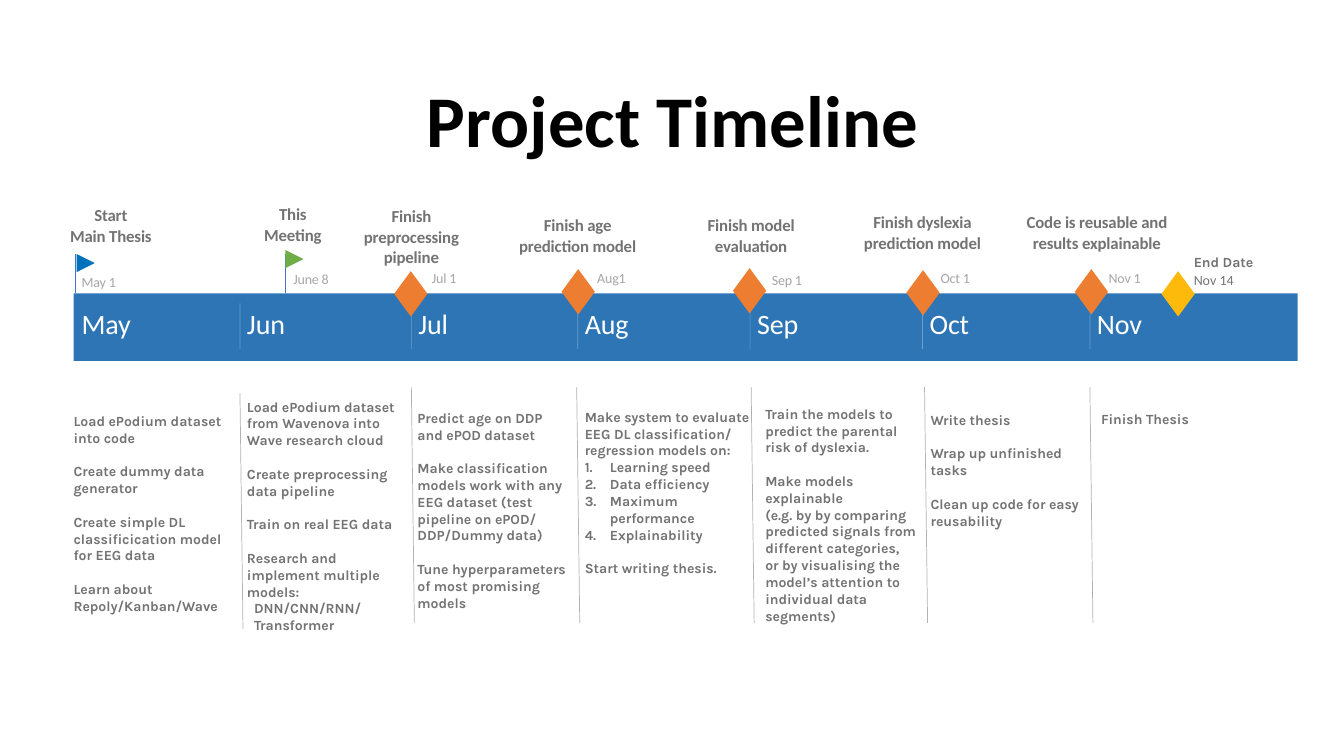
from lxml.etree import SubElement
from pptx import Presentation
from pptx.dml.color import RGBColor
from pptx.enum.shapes import MSO_CONNECTOR as Connector, MSO_SHAPE as Shape
from pptx.enum.text import MSO_ANCHOR as Anchor, PP_ALIGN as Align
from pptx.oxml.ns import qn
from pptx.util import Pt

PX = 9144  # one hundredth of an inch
COLORS = {
    "black": "000000", "white": "FFFFFF", "grey": "737373", "light_grey": "A6A6A6",
    "bar": "2E75B6", "pole": "4472C4", "blue_flag": "0072BC", "green_flag": "70AD47",
    "milestone": "ED7D31", "end": "FEBA0A",
}
BAR = (73, 291, 1214, 67)
MONTH_GAP = 7  # from a month's divider to its name

# Month name, divider x
MONTHS = [("May", 74), ("Jun", 238), ("Jul", 408), ("Aug", 573),
          ("Sep", 744), ("Oct", 915), ("Nov", 1081)]

# Label, label box, date, date position, flag left and top, pole x, colour
FLAGS = [
    ("Start\nMain Thesis", (67, 206, 86, 35), "May 1", (81, 271), (76, 252), 75, "blue_flag"),
    ("This\nMeeting", (250, 205, 81, 35), "June 8", (291, 268), (283, 248), 283, "green_flag"),
]

# Label, label box, date, date position, diamond left and top
MILESTONES = [
    ("Finish preprocessing pipeline", (349, 218, 118, 33), "Jul 1", (424, 267), (391, 269)),
    ("Finish age\nprediction model", (500, 203, 146, 61), "Aug1", (590, 267), (557, 267)),
    ("Finish model evaluation", (672, 207, 146, 53), "Sep 1", (764, 269), (727, 266)),
    ("Finish dyslexia prediction model", (842, 203, 146, 55), "Oct 1", (931, 267), (899, 268)),
    ("Code is reusable and results explainable", (1015, 203, 146, 55), "Nov 1", (1099, 267),
     (1066, 267)),
]

# Text box, then groups of lines; "#" marks a numbered line, ">" an indented one
TASKS = [
    ((73, 409, 159, 215), [
        ["Load ePodium dataset into code"], ["Create dummy data generator"],
        ["Create simple DL classificication model for EEG data"],
        ["Learn about Repoly/Kanban/Wave"]]),
    ((245, 395, 163, 243), [
        ["Load ePodium dataset from Wavenova into Wave research cloud"],
        ["Create preprocessing data pipeline"], ["Train on real EEG data"],
        ["Research and implement multiple models:", ">DNN/CNN/RNN/", ">Transformer"]]),
    ((414, 406, 151, 217), [
        ["Predict age on DDP and ePOD dataset"],
        ["Make classification models work with any EEG dataset "
         "(test pipeline on ePOD/ DDP/Dummy data)"],
        ["Tune hyperparameters of most promising models"]]),
    ((580, 405, 166, 188), [
        ["Make system to evaluate EEG DL classification/ regression models on:",
         "#Learning speed", "#Data efficiency", "#Maximum performance", "#Explainability"],
        ["Start writing thesis."]]),
    ((759, 402, 151, 236), [
        ["Train the models to predict the parental risk of dyslexia."],
        ["Make models explainable",
         "(e.g. by by comparing predicted signals from different categories,",
         "or by visualising the model’s attention to individual data segments)"]]),
    ((923, 408, 154, 140), [
        ["Write thesis"], ["Wrap up unfinished tasks"],
        ["Clean up code for easy reusability"]]),
    ((1092, 407, 151, 55), [["Finish Thesis"]]),
]

# Top left corner of each line between task columns
TASK_DIVIDERS = [(238, 390), (408, 384), (572, 384), (745, 384), (917, 384), (1081, 384)]


def emu(*lengths):
    return [length * PX for length in lengths]


def rgb(color):
    return RGBColor.from_string(COLORS[color])


def format_paragraph(paragraph, size=10, font="Calibri", color="grey", bold=False,
                     align=Align.LEFT, spacing=None):
    paragraph.alignment = align
    for run in paragraph.runs:
        run.font.size, run.font.name, run.font.bold = Pt(size), font, bold
        run.font.color.rgb = rgb(color)
        if spacing is not None:
            run.font._element.set("spc", str(spacing))


def add_text(slide, box, text, anchor=Anchor.MIDDLE, **style):
    frame = slide.shapes.add_textbox(*emu(*box)).text_frame
    frame.word_wrap = True
    frame.vertical_anchor = anchor
    frame.margin_left = frame.margin_right = frame.margin_top = frame.margin_bottom = 0
    frame.text = text
    for paragraph in frame.paragraphs:
        format_paragraph(paragraph, **style)
    return frame


def add_filled(slide, kind, box, color):
    shape = slide.shapes.add_shape(kind, *emu(*box))
    shape.shadow.inherit = False
    shape.fill.solid()
    shape.fill.fore_color.rgb = rgb(color)
    shape.line.fill.background()
    return shape


def add_line(slide, start, end, color, width, opacity=100):
    line = slide.shapes.add_connector(Connector.STRAIGHT, *emu(*start, *end))
    line.line.color.rgb = rgb(color)
    line.line.width = Pt(width)
    properties = line._element.spPr
    if opacity < 100:
        fill_color = next(properties.iter(qn("a:srgbClr")))
        SubElement(fill_color, qn("a:alpha")).set("val", str(opacity * 1000))
    SubElement(properties, qn("a:effectLst"))


def set_title(slide, box, text):
    title = slide.shapes.title
    title.left, title.top, title.width, title.height = emu(*box)
    title.text_frame.text = text
    title.text_frame.vertical_anchor = Anchor.MIDDLE
    paragraph = title.text_frame.paragraphs[0]
    paragraph.line_spacing = 0.9
    format_paragraph(paragraph, size=52, color="black", bold=True, align=Align.CENTER)


def add_month_bar(slide, box):
    top = box[1]
    add_filled(slide, Shape.RECTANGLE, box, "bar")
    for index, (name, x) in enumerate(MONTHS):
        if index:
            add_line(slide, (x, top + 10), (x, top + 55), "white", 0.5, opacity=30)
        add_text(slide, (x + MONTH_GAP, top + 16, 60, 27), name,
                 size=20, color="white", spacing=-10)


def add_event_text(slide, label, label_box, date, date_position, date_width, date_align):
    add_text(slide, label_box, label, size=12, bold=True, align=Align.CENTER, spacing=-10)
    add_text(slide, (*date_position, date_width, 17), date, color="light_grey",
             align=date_align, spacing=-10)


def add_flag(slide, label, label_box, date, date_position, corner, pole_x, color):
    add_line(slide, (pole_x, 252), (pole_x, BAR[1]), "pole", 0.75)
    add_filled(slide, Shape.FLOWCHART_MERGE, (*corner, 18, 18), color).rotation = 270
    add_event_text(slide, label, label_box, date, date_position, 43, Align.LEFT)


def add_diamond(slide, corner, color):
    add_filled(slide, Shape.DIAMOND, (*corner, 33, 45), color)


def add_milestone(slide, label, label_box, date, date_position, corner):
    add_diamond(slide, corner, "milestone")
    add_event_text(slide, label, label_box, date, date_position, 33, Align.CENTER)


def add_end(slide, corner):
    left, top = corner
    add_diamond(slide, corner, "end")
    add_text(slide, (left + 32, top - 18, 63, 18), "End Date", font="Karla", bold=True)
    add_text(slide, (left + 32, top, 57, 17), "Nov 14")


def add_tasks(slide, box, groups):
    lines = [line for group in groups for line in group]
    frame = add_text(slide, box, "\n".join(line.lstrip("#>") for line in lines),
                     anchor=Anchor.TOP, font="Karla", bold=True)
    group_starts = {group[0] for group in groups[1:]}
    for paragraph, line in zip(frame.paragraphs, lines):
        if line in group_starts:
            paragraph.space_before = Pt(12)
        properties = paragraph._p.get_or_add_pPr()
        if line.startswith("#"):
            properties.set("marL", str(25 * PX))
            properties.set("indent", str(-25 * PX))
            SubElement(properties, qn("a:buAutoNum")).set("type", "arabicPeriod")
        elif line.startswith(">"):
            properties.set("marL", str(7 * PX))


def main():
    presentation = Presentation()
    presentation.slide_width, presentation.slide_height = emu(1333, 750)
    slide = presentation.slides.add_slide(presentation.slide_layouts[5])
    set_title(slide, (92, 61, 1150, 124), "Project Timeline")

    # Timeline with its events
    add_month_bar(slide, BAR)
    for flag in FLAGS:
        add_flag(slide, *flag)
    for milestone in MILESTONES:
        add_milestone(slide, *milestone)
    add_end(slide, (1152, 269))

    # Tasks of each month
    for box, groups in TASKS:
        add_tasks(slide, box, groups)
    for x, y in TASK_DIVIDERS:
        add_line(slide, (x, y), (x + 3, y + 234), "black", 0.5, opacity=30)
    presentation.save("out.pptx")


if __name__ == "__main__":
    main()
